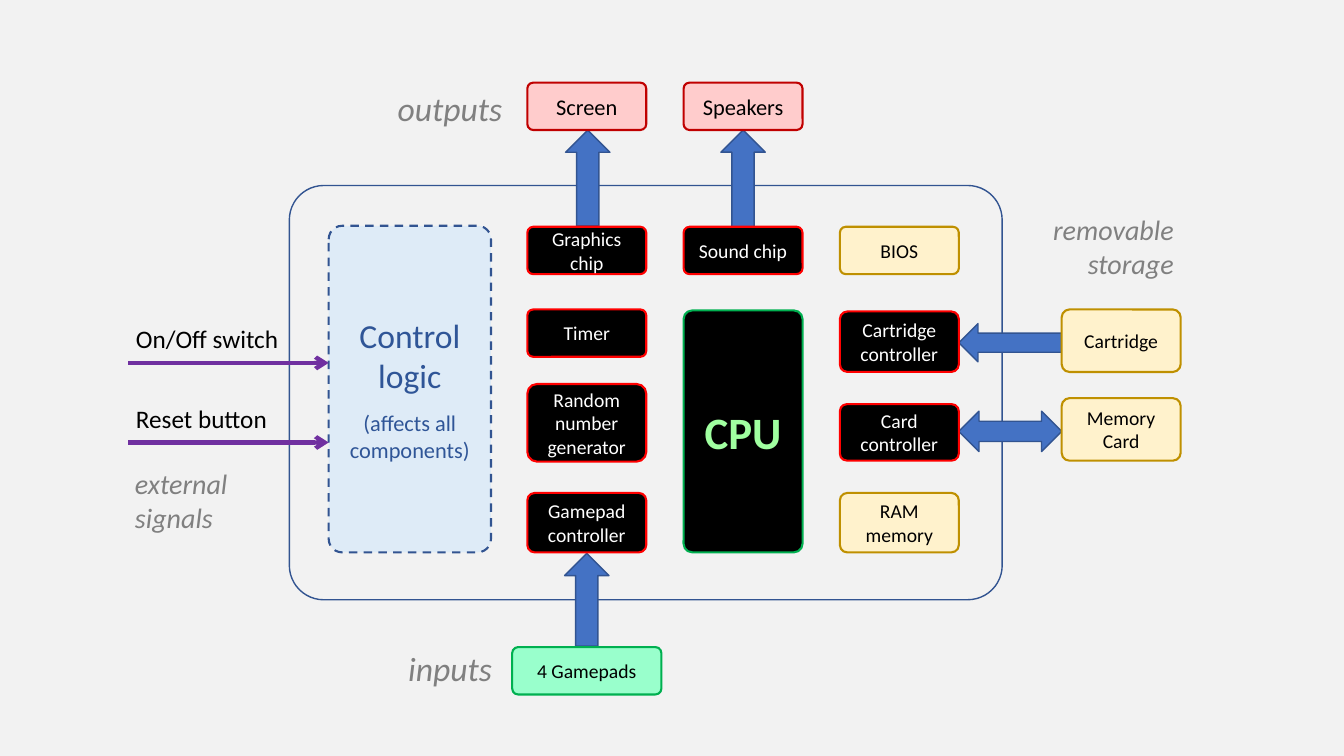
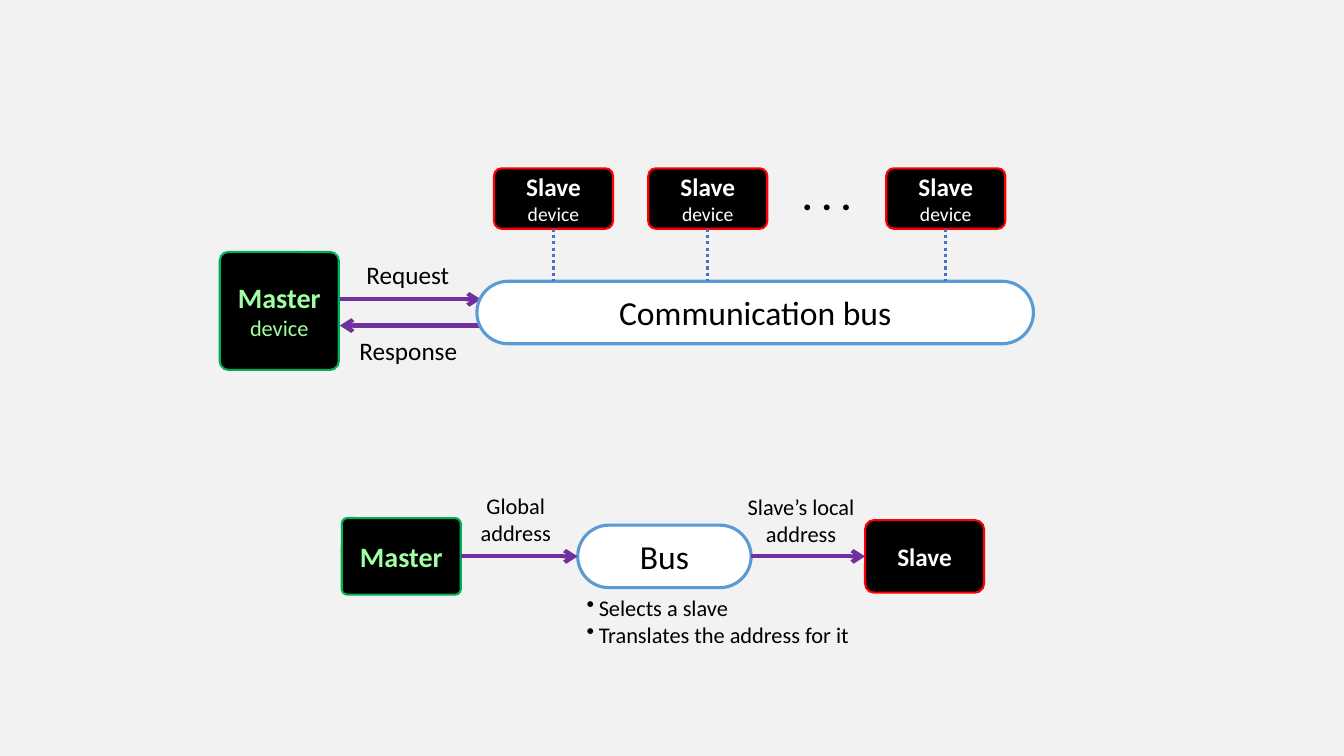
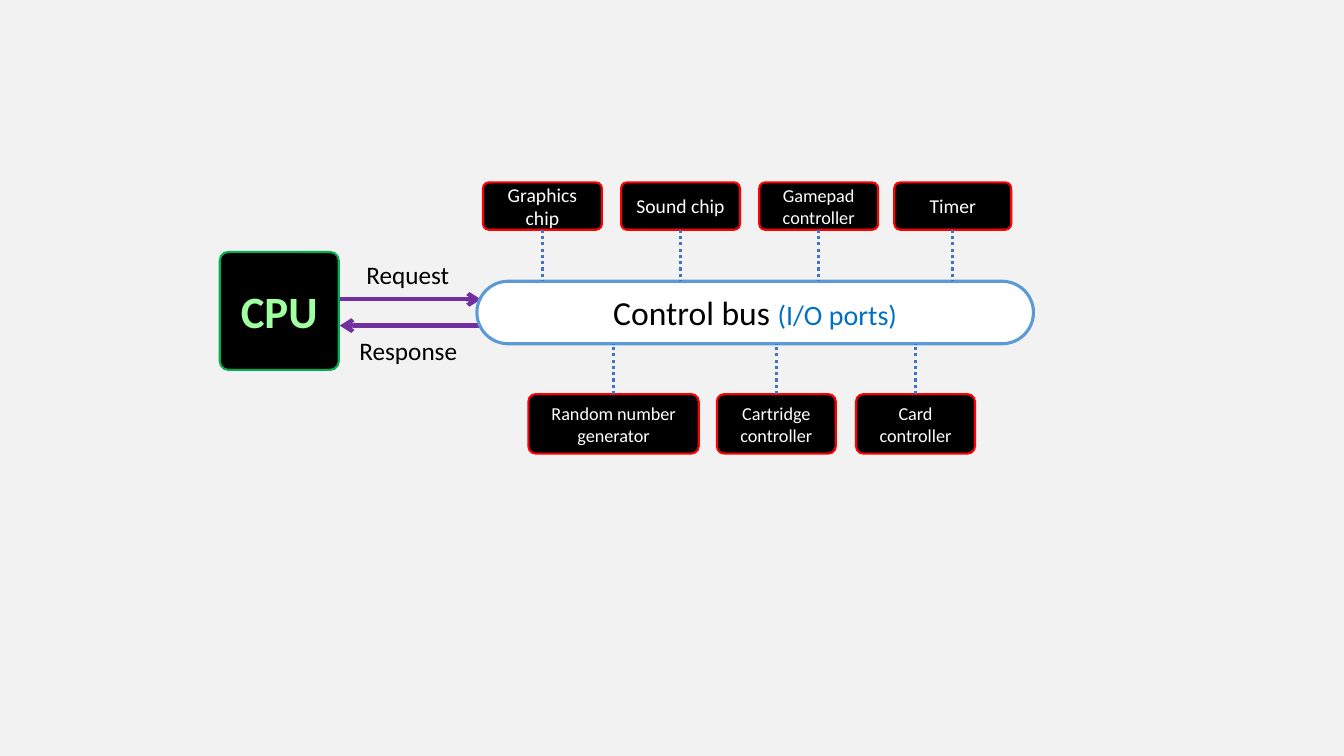
from dataclasses import dataclass

from lxml.etree import SubElement
from pptx import Presentation
from pptx.dml.color import RGBColor
from pptx.enum.dml import MSO_LINE
from pptx.enum.shapes import MSO_CONNECTOR, MSO_SHAPE
from pptx.enum.text import MSO_ANCHOR, MSO_AUTO_SIZE, PP_ALIGN
from pptx.oxml.ns import qn
from pptx.util import Emu, Pt

SCALE = 9144  # EMU in one px: 100 px to the inch
TOP, LEFT, BOTTOM, RIGHT = range(4)


@dataclass(frozen=True)
class Ink:
    size: int
    color: str = "000000"
    bold: bool = False
    italic: bool = False


@dataclass(frozen=True)
class Style:
    fill: str
    line: str
    ink: Ink
    width: float = 1.5
    round: float = 0.125
    dash: bool = False


@dataclass(frozen=True)
class Theme:
    font: str = "Calibri"
    paper: str = "F2F2F2"
    edge: str = "325491"
    block: str = "4472C4"
    signal: str = "7030A0"

    label: Ink = Ink(18)
    note: Ink = Ink(16)
    dots: Ink = Ink(28, bold=True)
    group: Ink = Ink(24, "808080", italic=True)
    side: Ink = Ink(20, "808080", italic=True)
    hint: Ink = Ink(16, "2F5597")
    port: Ink = Ink(20, "0070C0")
    host: Ink = Ink(20, "A0FFA0", bold=True)
    minor: Ink = Ink(16, "A0FFA0")
    slave: Ink = Ink(18, "FFFFFF", bold=True)
    device: Ink = Ink(14, "FFFFFF")
    small: Ink = Ink(13, "FFFFFF")

    output: Style = Style("FFCCCC", "C00000", Ink(16))
    input: Style = Style("99FFCC", "00B050", Ink(14))
    store: Style = Style("FFF2CC", "BF9000", Ink(14))
    chip: Style = Style("000000", "FF0000", Ink(14, "FFFFFF"))
    master: Style = Style("000000", "00B050", Ink(32, "A0FFA0", bold=True),
                          round=0.073)
    bus: Style = Style("FFFFFF", "5B9BD5", Ink(24), 2.25, 0.5)
    logic: Style = Style("DEEBF7", "325491", Ink(24, "2F5597"),
                         round=0.083, dash=True)


T = Theme()


def px(*nums):
    return [Emu(n * SCALE) for n in nums]


def rgb(code):
    return RGBColor.from_string(code)


def dye(font, ink):
    font.name = T.font
    font.size = Pt(ink.size)
    font.bold = ink.bold
    font.italic = ink.italic
    font.color.rgb = rgb(ink.color)


def write(frame, paras, ink, align):
    """Each paragraph is a string in the given ink, or a list of (text, ink)."""
    frame.word_wrap = True
    frame.vertical_anchor = MSO_ANCHOR.MIDDLE
    for i, spans in enumerate(paras):
        para = frame.add_paragraph() if i else frame.paragraphs[0]
        para.alignment = align
        if isinstance(spans, str):
            spans = [(spans, ink)]
        for text, tone in spans:
            run = para.add_run()
            run.text = text
            dye(para.font if len(spans) == 1 else run.font, tone)


def shape(slide, kind, at, fill, line, width):
    item = slide.shapes.add_shape(kind, *px(*at))
    item.shadow.inherit = False
    if fill:
        item.fill.solid()
        item.fill.fore_color.rgb = rgb(fill)
    else:
        item.fill.background()
    item.line.color.rgb = rgb(line)
    item.line.width = Pt(width)
    return item


def box(slide, style, at, *paras, ink=None):
    item = shape(slide, MSO_SHAPE.ROUNDED_RECTANGLE, at,
                 style.fill, style.line, style.width)
    item.adjustments[0] = style.round
    if style.dash:
        item.line.dash_style = MSO_LINE.DASH
    write(item.text_frame, paras, ink or style.ink, PP_ALIGN.CENTER)
    return item


def label(slide, at, *paras, ink=T.label, align=PP_ALIGN.CENTER):
    frame = slide.shapes.add_textbox(*px(*at)).text_frame
    write(frame, paras, ink, align)
    frame.auto_size = MSO_AUTO_SIZE.SHAPE_TO_FIT_TEXT
    return frame


def bullet(frame, gap):
    for para in frame.paragraphs:
        props = para._p.get_or_add_pPr()
        props.set("marL", str(gap * SCALE))
        props.set("indent", str(-gap * SCALE))
        mark = SubElement(props, qn("a:buChar"))
        mark.set("char", "•")
        font = props.find(qn("a:defRPr"))
        if font is not None:
            mark.addnext(font)


def wire(slide, ends, color, width):
    item = slide.shapes.add_connector(MSO_CONNECTOR.STRAIGHT, *ends)
    item.line.color.rgb = rgb(color)
    item.line.width = Pt(width)
    SubElement(item._element.spPr, qn("a:effectLst"))
    return item


def arrow(slide, start, end, y):
    item = wire(slide, px(start, y, end, y), T.signal, 3)
    ln = item._element.spPr.find(qn("a:ln"))
    SubElement(ln, qn("a:tailEnd")).set("type", "arrow")
    return item


def link(slide, one, two):
    item = arrow(slide, 0, 0, 0)
    item.begin_connect(one, RIGHT)
    item.end_connect(two, LEFT)


def drop(slide, chip, side, y):
    """Dotted line from the middle of a chip's side to the bus edge at y."""
    mid = chip.left + chip.width // 2
    item = wire(slide, (mid, chip.top, mid, *px(y)), T.block, 2.25)
    item.line.dash_style = MSO_LINE.ROUND_DOT
    item.begin_connect(chip, side)


def talk(slide, host, bus):
    """Master and bus, with the request and response between them."""
    label(slide, (338, 328, 134, 40), "Response")
    label(slide, (345, 252, 119, 40), "Request")
    arrow(slide, 337, 477, 297)
    arrow(slide, 476, 337, 323)
    box(slide, T.bus, (473, 279, 552, 62), bus)
    box(slide, T.master, (218, 250, 118, 117), *host)


def console(slide):
    left, right = PP_ALIGN.LEFT, PP_ALIGN.RIGHT
    label(slide, (125, 395, 193, 40), "Reset button", align=left)
    label(slide, (125, 316, 193, 40), "On/Off switch", align=left)
    frame = shape(slide, MSO_SHAPE.ROUNDED_RECTANGLE, (287, 184, 707, 411),
                  None, T.edge, 1)
    frame.adjustments[0] = 0.083

    label(slide, (395, 638, 116, 50), "inputs", ink=T.group, align=left)
    label(slide, (365, 82, 143, 50), "outputs", ink=T.group, align=right)
    label(slide, (124, 458, 215, 77), "external", "signals",
          ink=T.side, align=left)
    label(slide, (1011, 206, 163, 77), "removable storage",
          ink=T.side, align=right)

    for kind, at in (
        (MSO_SHAPE.UP_ARROW, (561, 129, 44, 95)),
        (MSO_SHAPE.UP_ARROW, (715, 129, 44, 96)),
        (MSO_SHAPE.UP_ARROW, (560, 549, 44, 92)),
        (MSO_SHAPE.LEFT_ARROW, (951, 321, 102, 38)),
        (MSO_SHAPE.LEFT_RIGHT_ARROW, (951, 408, 102, 40)),
    ):
        shape(slide, kind, at, T.block, T.edge, 1)

    cols = [523 + 155 * i for i in range(3)] + [1053]
    for style, col, y, high, text in (
        (T.output, 0, 82, 47, "Screen"),
        (T.output, 1, 82, 47, "Speakers"),
        (T.chip, 0, 225, 47, "Graphics chip"),
        (T.chip, 1, 225, 47, "Sound chip"),
        (T.store, 2, 225, 47, "BIOS"),
        (T.chip, 0, 307, 47, "Timer"),
        (T.master, 1, 308, 240, "CPU"),
        (T.chip, 2, 309, 60, "Cartridge controller"),
        (T.store, 3, 307, 62, "Cartridge"),
        (T.chip, 0, 381, 77, "Random number generator"),
        (T.chip, 2, 401, 56, "Card controller"),
        (T.store, 3, 395, 62, "Memory Card"),
        (T.chip, 0, 489, 59, "Gamepad controller"),
        (T.store, 2, 489, 59, "RAM memory"),
    ):
        box(slide, style, (cols[col], y, 118, high), text)
    box(slide, T.input, (508, 642, 148, 47), "4 Gamepads")

    logic = box(slide, T.logic, (326, 224, 161, 324), "Control logic",
                [("(affects all components)", T.hint)])
    logic.text_frame.paragraphs[1].space_before = Pt(10)
    for y in (360, 439):
        arrow(slide, 127, 326, y)


def protocol(slide):
    talk(slide, ([("Master", T.host)], [("device", T.minor)]),
         "Communication bus")
    for x in (490, 643, 879):
        chip = box(slide, T.chip, (x, 167, 118, 60),
                   [("Slave ", T.slave), ("device", T.device)])
        drop(slide, chip, BOTTOM, 279)
    label(slide, (761, 165, 118, 57), ". . .", ink=T.dots)

    host = box(slide, T.master, (339, 514, 118, 76), "Master", ink=T.host)
    bus = box(slide, T.bus, (573, 521, 172, 62), "Bus")
    chip = box(slide, T.chip, (858, 516, 118, 72), "Slave", ink=T.slave)
    link(slide, host, bus)
    link(slide, bus, chip)
    label(slide, (452, 483, 119, 64), "Global address", ink=T.note)
    label(slide, (721, 484, 147, 64), "Slave’s local address", ink=T.note)
    tasks = label(slide, (572, 584, 339, 64), "Selects a slave",
                  "Translates the address for it",
                  ink=T.note, align=PP_ALIGN.LEFT)
    bullet(tasks, 12)


def control(slide):
    talk(slide, ("CPU",),
         [("Control bus ", T.bus.ink), ("(I/O ports)", T.port)])
    upper = (181, 47, BOTTOM, 279)
    lower = (391, 59, TOP, 341)
    for (y, high, side, edge), x, wide, text, ink in (
        (upper, 479, 118, "Graphics chip", None),
        (upper, 616, 118, "Sound chip", None),
        (upper, 753, 118, "Gamepad controller", T.small),
        (upper, 887, 116, "Timer", None),
        (lower, 524, 169, "Random number generator", T.small),
        (lower, 711, 118, "Cartridge controller", T.small),
        (lower, 849, 118, "Card controller", T.small),
    ):
        chip = box(slide, T.chip, (x, y, wide, high), text, ink=ink)
        drop(slide, chip, side, edge)


def main():
    deck = Presentation()
    deck.slide_width, deck.slide_height = px(1333, 750)
    paper = deck.slide_master.background.fill
    paper.solid()
    paper.fore_color.rgb = rgb(T.paper)
    for draw in (console, protocol, control):
        draw(deck.slides.add_slide(deck.slide_layouts[6]))
    deck.save("out.pptx")


if __name__ == "__main__":
    main()
